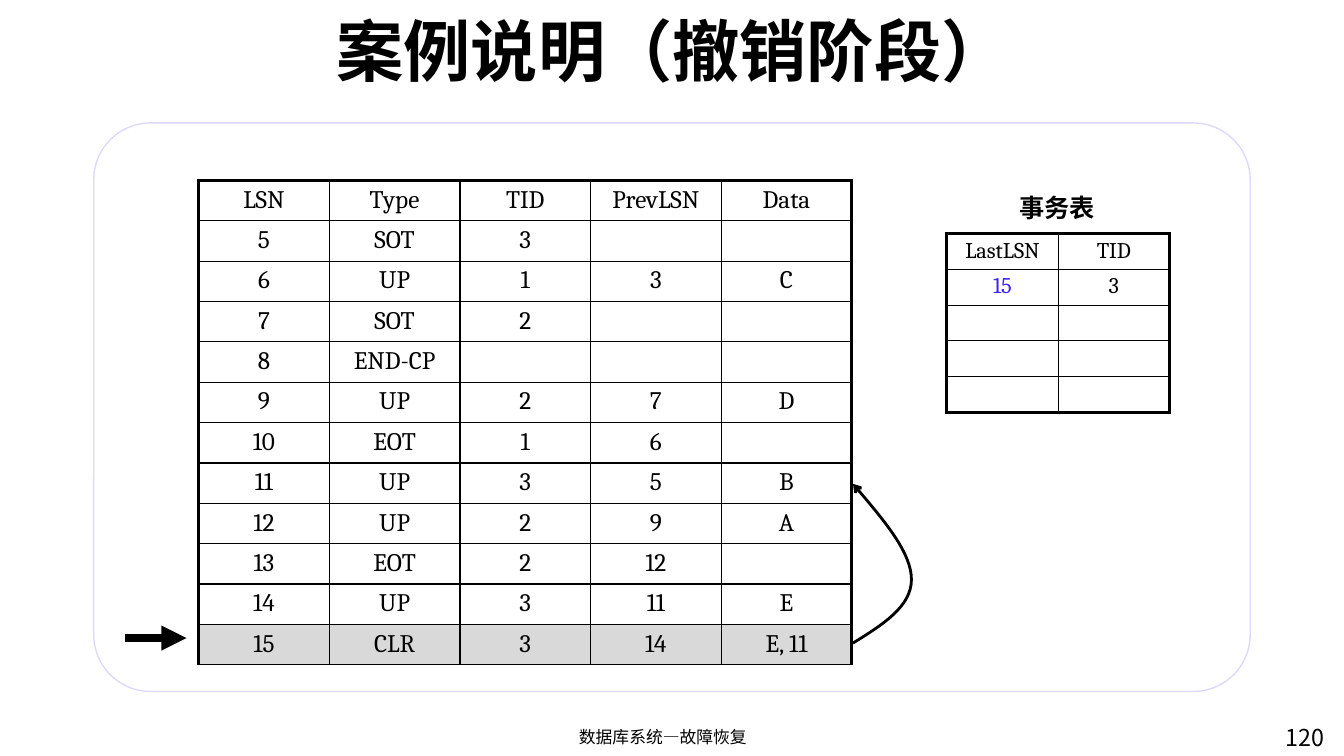
from lxml.etree import SubElement
from pptx import Presentation
from pptx.dml.color import RGBColor
from pptx.enum.shapes import MSO_CONNECTOR, MSO_SHAPE
from pptx.enum.text import MSO_ANCHOR, PP_ALIGN
from pptx.oxml.ns import qn
from pptx.util import Inches, Pt

BLACK = RGBColor(0x00, 0x00, 0x00)
WHITE = RGBColor(0xFF, 0xFF, 0xFF)
GRAY = RGBColor(0xD9, 0xD9, 0xD9)
BLUE = RGBColor(0x3B, 0x20, 0xFF)
LAVENDER = RGBColor(0xDD, 0xD9, 0xFB)

LOG = [
    ["LSN", "Type", "TID", "PrevLSN", "Data"],
    ["5", "SOT", "3", "", ""],
    ["6", "UP", "1", "3", "C"],
    ["7", "SOT", "2", "", ""],
    ["8", "END-CP", "", "", ""],
    ["9", "UP", "2", "7", "D"],
    ["10", "EOT", "1", "6", ""],
    ["11", "UP", "3", "5", "B"],
    ["12", "UP", "2", "9", "A"],
    ["13", "EOT", "2", "12", ""],
    ["14", "UP", "3", "11", "E"],
    ["15", "CLR", "3", "14", "E, 11"],
]
TRANSACTIONS = [["LastLSN", "TID"], ["15", "3"], ["", ""], ["", ""], ["", ""]]


class SlideBuilder:
    heading_font = "Noto Sans CJK SC"
    table_font = "Cambria"

    def __init__(self, slide):
        self.s = slide

    def style(self, p, name, size, color=BLACK, bold=False):
        p.font.name, p.font.size, p.font.bold = name, Pt(size), bold
        p.font.color.rgb = color
        rpr = p.font._element if hasattr(p.font, "_element") else p._p.pPr.find(qn("a:defRPr"))
        SubElement(rpr, qn("a:ea"), typeface=name)

    def text(self, text, x, y, w, h, size, align=PP_ALIGN.LEFT, bold=False,
             anchor=MSO_ANCHOR.TOP, wrap=True):
        sp = self.s.shapes.add_textbox(Inches(x), Inches(y), Inches(w), Inches(h))
        tf = sp.text_frame
        tf.word_wrap, tf.vertical_anchor = wrap, anchor
        p = tf.paragraphs[0]
        p.text, p.alignment = text, align
        self.style(p, self.heading_font, size, bold=bold)

    def panel(self, x, y, w, h, radius):
        sp = self.s.shapes.add_shape(MSO_SHAPE.ROUNDED_RECTANGLE,
                                     Inches(x), Inches(y), Inches(w), Inches(h))
        sp.adjustments[0] = radius
        sp.shadow.inherit = False
        sp.fill.solid()
        sp.fill.fore_color.rgb = WHITE
        sp.line.color.rgb, sp.line.width = LAVENDER, Pt(1)

    def border(self, cell, side, width):
        ln = SubElement(cell._tc.get_or_add_tcPr(), qn(f"a:ln{side}"), w=str(Pt(width)))
        fill = SubElement(ln, qn("a:solidFill"))
        SubElement(fill, qn("a:srgbClr"), val=str(BLACK))

    def table(self, rows, x, y, w, h, size, inset, bottom, fills=None, colors=None):
        """Grid with a heavy outer frame; fills by row, colors by (row, column)."""
        n_rows, n_cols = len(rows), len(rows[0])
        tbl = self.s.shapes.add_table(n_rows, n_cols, Inches(x), Inches(y),
                                      Inches(w), Inches(h)).table
        tbl.first_row = tbl.horz_banding = False
        for i, row in enumerate(rows):
            for j, value in enumerate(row):
                cell = tbl.cell(i, j)
                cell.margin_left = cell.margin_right = Inches(inset + 0.05)
                cell.margin_top = cell.margin_bottom = Inches(inset)
                p = cell.text_frame.paragraphs[0]
                p.text, p.alignment = value, PP_ALIGN.CENTER
                self.style(p, self.table_font, size, (colors or {}).get((i, j), BLACK))
                self.border(cell, "L", 2.25 if j == 0 else 1)
                self.border(cell, "R", 2.25 if j == n_cols - 1 else 1)
                self.border(cell, "T", 2.25 if i == 0 else 1)
                self.border(cell, "B", bottom if i == n_rows - 1 else 1)
                cell.fill.solid()
                cell.fill.fore_color.rgb = (fills or {}).get(i, WHITE)

    def stroke(self, sp, width, head):
        sp.line.color.rgb, sp.line.width = BLACK, Pt(width)
        SubElement(sp.line._get_or_add_ln(), qn("a:tailEnd"), type=head)

    def curve(self, start, points, width):
        """Bezier arrow; every three points form one cubic segment."""
        builder = self.s.shapes.build_freeform(Inches(start[0]), Inches(start[1]))
        builder.add_line_segments([(Inches(x), Inches(y)) for x, y in points], close=False)
        sp = builder.convert_to_shape()
        sp.shadow.inherit = False
        sp.fill.background()
        outline = next(sp._element.iter(qn("a:pathLst")))[0]
        for k, segment in enumerate(outline.findall(qn("a:lnTo"))):
            if k % 3 == 0:
                cubic = SubElement(outline, qn("a:cubicBezTo"))
            cubic.append(segment[0])
            outline.remove(segment)
        self.stroke(sp, width, "arrow")

    def arrow(self, x1, y1, x2, y2, width):
        sp = self.s.shapes.add_connector(MSO_CONNECTOR.STRAIGHT, Inches(x1), Inches(y1),
                                         Inches(x2), Inches(y2))
        self.stroke(sp, width, "triangle")
        SubElement(sp._element.spPr, qn("a:effectLst"))


def main():
    prs = Presentation()
    prs.slide_width, prs.slide_height = Inches(13.33), Inches(7.5)
    b = SlideBuilder(prs.slides.add_slide(prs.slide_layouts[6]))

    # Frame, title and footer
    b.panel(0.93, 1.22, 11.47, 5.64, 0.1)
    b.text("120", 12.65, 7.13, 0.68, 0.37, 16.6)
    b.text("案例说明（撤销阶段）", 1.15, 0.12, 11.04, 0.74, 48, PP_ALIGN.CENTER,
           bold=True, anchor=MSO_ANCHOR.MIDDLE)
    b.text("数据库系统—故障恢复", 4.47, 7.16, 4.21, 0.34, 12, PP_ALIGN.CENTER)

    # Log table, with the compensation record shaded
    b.table(LOG, 1.97, 1.79, 6.48, 4.63, 18, 0.05, 1, fills={len(LOG) - 1: GRAY})

    # Link from the compensation record back to LSN 11
    b.curve((8.46, 6.38), [(8.75, 6.2), (9.04, 6.02), (9.04, 5.75),
                           (9.04, 5.49), (8.75, 5.14), (8.46, 4.8)], 2)

    # Transaction table
    b.table(TRANSACTIONS, 9.39, 2.32, 2.21, 1.77, 16, 0.04, 2.25, colors={(1, 0): BLUE})
    b.text("事务表", 10.01, 1.86, 0.96, 0.4, 18, bold=True, wrap=False)

    # Current record marker
    b.arrow(1.24, 6.33, 1.85, 6.33, 6)

    prs.save("out.pptx")


if __name__ == "__main__":
    main()
